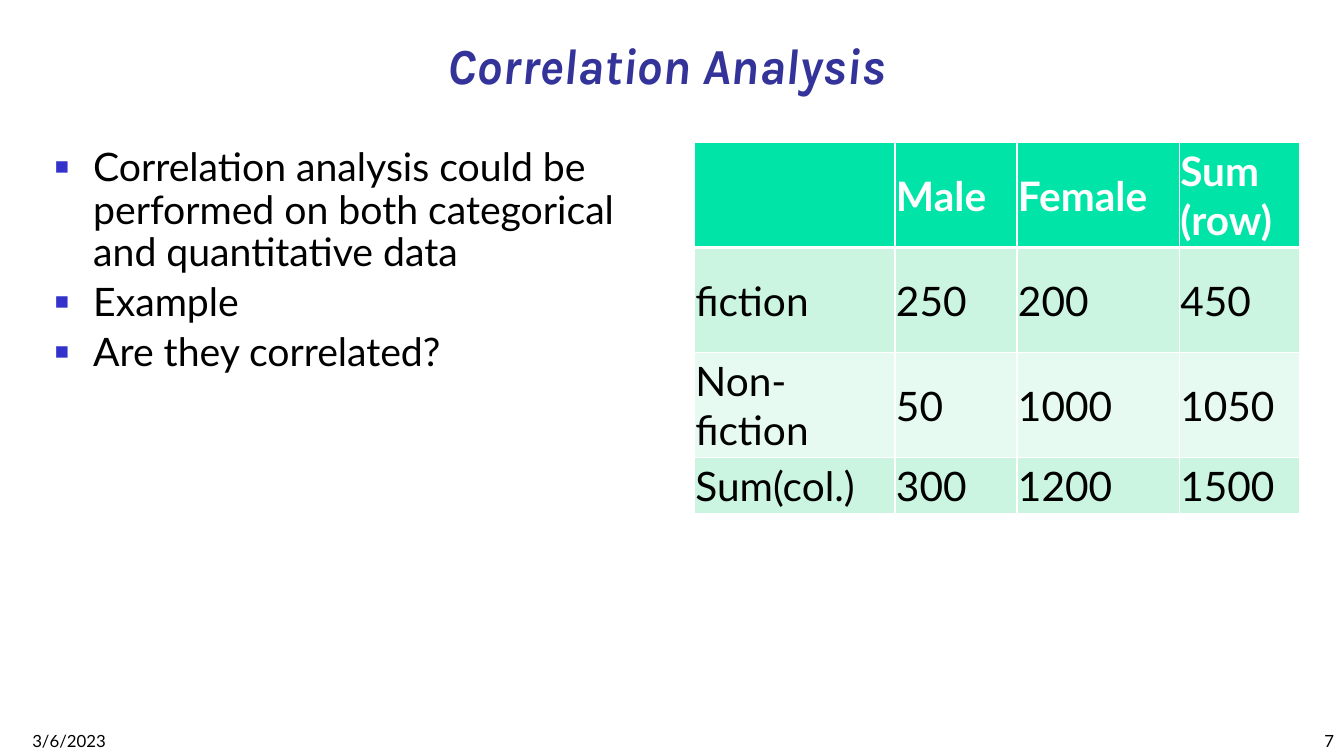
import pptx
import pptx.dml.color
import pptx.enum.text
import pptx.oxml
import pptx.oxml.ns
import pptx.util
from lxml import etree

ANCHOR = pptx.enum.text.MSO_ANCHOR
ALIGN = pptx.enum.text.PP_ALIGN

COLORS = {
    "title": "333399",
    "bullet": "3333CC",
    "text": "000000",
    "white": "FFFFFF",
    "header": "00E4A8",
    "band": "CCF5E1",
    "light": "E7FAF1",
}


def rgb(name):
    return pptx.dml.color.RGBColor.from_string(COLORS[name])


class Page:
    """Style and current slide, laid out on a grid of 60 columns by 90 rows."""

    heading_font = "Karla"
    text_font = "Lato"

    def __init__(self, deck):
        self.column = deck.slide_width / 60
        self.row = deck.slide_height / 90
        self.slide = deck.slides.add_slide(deck.slide_layouts[1])
        self.shapes = self.slide.shapes

    def area(self, left, top, width, height):
        return (int(left * self.column), int(top * self.row),
                int(width * self.column), int(height * self.row))

    def place(self, box, area):
        box.left, box.top, box.width, box.height = self.area(*area)
        box.text_frame.auto_size = pptx.enum.text.MSO_AUTO_SIZE.NONE
        box.text_frame.word_wrap = True

    def style(self, para, size, color="text", font=text_font, bold=False, italic=False):
        para.font.name = font
        para.font.size = pptx.util.Pt(size)
        para.font.bold = bold
        para.font.italic = italic
        para.font.color.rgb = rgb(color)

    def title(self, text, area):
        box = self.shapes.title
        self.place(box, area)
        box.text_frame.vertical_anchor = ANCHOR.BOTTOM
        box.text_frame.text = text
        para = box.text_frame.paragraphs[0]
        para.alignment = ALIGN.CENTER
        para.line_spacing = 0.9
        self.style(para, 36, "title", self.heading_font, bold=True, italic=True)

    def bullets(self, items, area):
        box = self.slide.placeholders[1]
        self.place(box, area)
        box.text_frame.text = "\n".join(items)
        for para in box.text_frame.paragraphs:
            self.bullet(para)
            para.line_spacing = 0.9
            para.space_before = pptx.util.Pt(5.6)
            self.style(para, 28)

    def bullet(self, para):
        props = para._p.get_or_add_pPr()
        indent = pptx.util.Inches(0.38)
        props.set("marL", str(indent))
        props.set("indent", str(-indent))
        tag = pptx.oxml.ns.qn
        color = etree.SubElement(props, tag("a:buClr"))
        etree.SubElement(color, tag("a:srgbClr"), val=COLORS["bullet"])
        etree.SubElement(props, tag("a:buSzPct"), val="60000")
        etree.SubElement(props, tag("a:buChar"), char="■")

    def footer(self, text, area, align):
        box = self.shapes.add_textbox(*self.area(*area))
        self.place(box, area)
        box.text_frame.vertical_anchor = ANCHOR.BOTTOM
        box.text_frame.text = text
        para = box.text_frame.paragraphs[0]
        para.alignment = align
        para.space_after = pptx.util.Pt(6)
        self.style(para, 12)

    def table(self, records, area, widths, heights):
        frame = self.shapes.add_table(len(records), len(widths), *self.area(*area))
        table = frame.table
        table.first_row = table.horz_banding = False
        for column, width in zip(table.columns, widths):
            column.width = pptx.util.Inches(width)
        for row, height in zip(table.rows, heights):
            row.height = pptx.util.Inches(height)
        for i, record in enumerate(records):
            fill = "header" if i == 0 else "band" if i % 2 else "light"
            for j, text in enumerate(record):
                self.cell(table.cell(i, j), text, fill, top=3 if i == 1 else 1)

    def cell(self, cell, text, fill, top):
        header = fill == "header"
        cell.text = text
        cell.vertical_anchor = ANCHOR.MIDDLE
        cell.margin_left = cell.margin_right = cell.margin_top = pptx.util.Inches(0.01)
        cell.margin_bottom = 0
        self.style(cell.text_frame.paragraphs[0], 29,
                   "white" if header else "text", bold=header)
        # Borders come before the fill in the cell properties
        widths = {"lnL": 1, "lnR": 1, "lnT": top, "lnB": 3 if header else 1}
        for side, width in widths.items():
            line = etree.SubElement(cell._tc.get_or_add_tcPr(),
                                    pptx.oxml.ns.qn("a:" + side),
                                    w=str(pptx.util.Pt(width)))
            solid = etree.SubElement(line, pptx.oxml.ns.qn("a:solidFill"))
            etree.SubElement(solid, pptx.oxml.ns.qn("a:srgbClr"), val=COLORS["white"])
        cell.fill.solid()
        cell.fill.fore_color.rgb = rgb(fill)


def main():
    deck = pptx.Presentation()
    deck.slide_width = pptx.util.Inches(13.33)
    deck.slide_height = pptx.util.Inches(7.5)
    page = Page(deck)

    # Title and list
    page.title("Correlation Analysis", (1, 4, 57.5, 8))
    page.bullets([
        "Correlation analysis could be performed on both categorical and quantitative data",
        "Example",
        "Are they correlated?",
    ], (2, 17, 27, 68))

    # Date and page number
    page.footer("3/6/2023", (1, 85, 12.5, 5), ALIGN.LEFT)
    page.footer("7", (47.5, 85, 12.5, 5), ALIGN.RIGHT)

    # Counts with row and column sums
    page.table([
        ["", "Male", "Female", "Sum (row)"],
        ["fiction", "250", "200", "450"],
        ["Non-fiction", "50", "1000", "1050"],
        ["Sum(col.)", "300", "1200", "1500"],
    ], (31, 17, 27, 44), [1.99, 1.21, 1.61, 1.19], [1.04, 1.04, 1.04, 0.56])

    deck.save("out.pptx")


if __name__ == "__main__":
    main()
